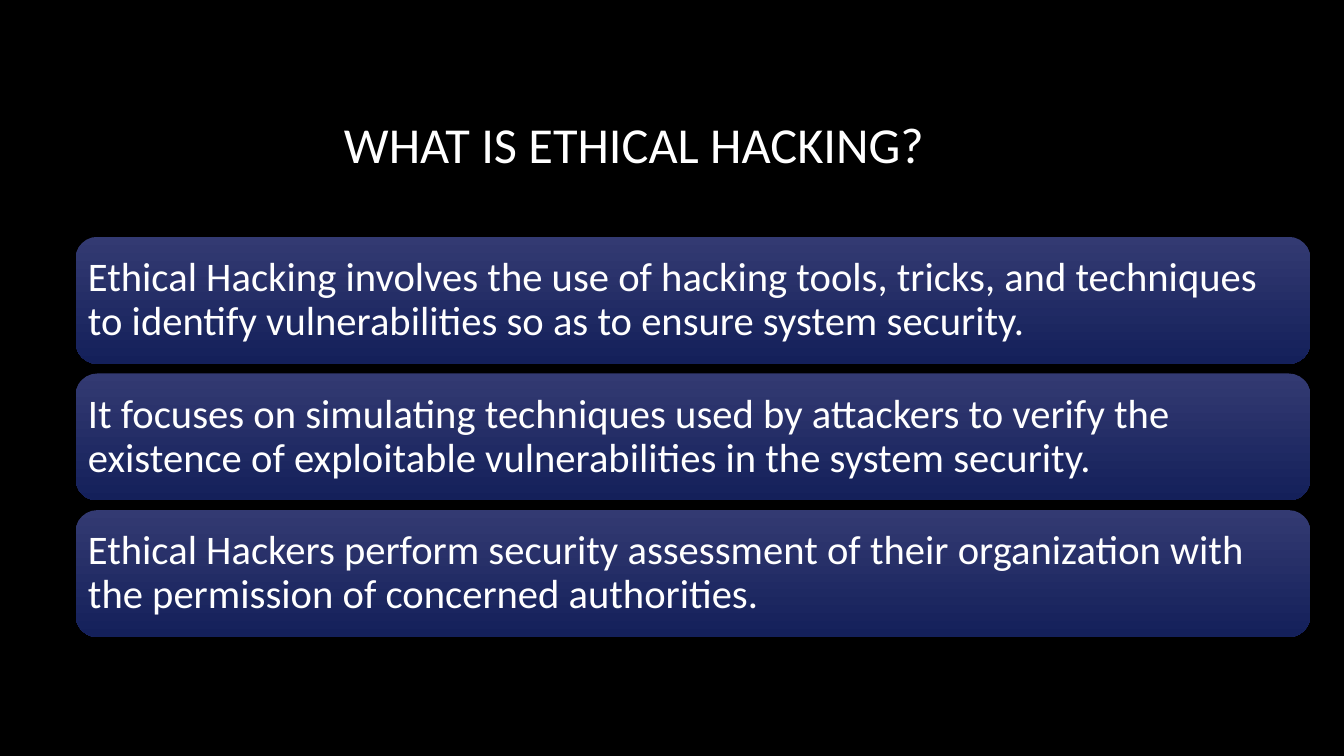
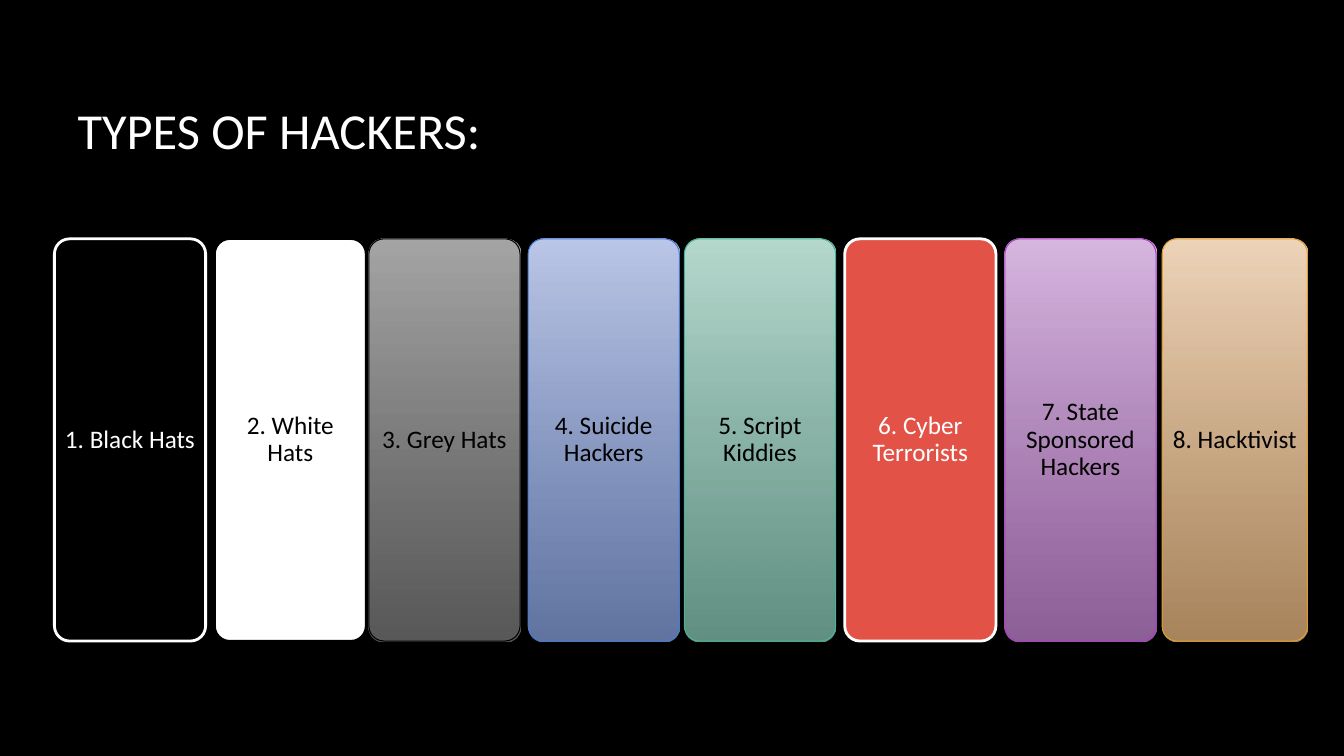
from lxml import etree
from pptx import Presentation
from pptx.dml.color import RGBColor
from pptx.enum.shapes import MSO_SHAPE
from pptx.enum.text import MSO_ANCHOR, PP_ALIGN
from pptx.oxml.ns import qn
from pptx.util import Pt

ROUNDED = MSO_SHAPE.ROUNDED_RECTANGLE
MIDDLE = MSO_ANCHOR.MIDDLE
LEFT, CENTER = PP_ALIGN.LEFT, PP_ALIGN.CENTER
BLACK, WHITE = "000000", "FFFFFF"
TITLE_ONLY = 5


def color(hex_code):
    """Turn a hex string into a colour."""
    return RGBColor.from_string(hex_code)


class Deck:
    """Holds the shared style and the current slide."""

    font_name = "Calibri"
    title_size = 36

    def __init__(self):
        """Start a black widescreen presentation."""
        self.prs = Presentation()
        self.prs.slide_width, self.prs.slide_height = Pt(960), Pt(540)
        backdrop = self.prs.slide_master.background.fill
        backdrop.solid()
        backdrop.fore_color.rgb = color(BLACK)
        self.slide = None

    def add_slide(self, title, left, top, align):
        """Add a slide with its title at the given place."""
        layout = self.prs.slide_layouts[TITLE_ONLY]
        self.slide = self.prs.slides.add_slide(layout)
        heading = self.slide.shapes.title
        heading.left, heading.top = Pt(left), Pt(top)
        heading.width, heading.height = Pt(797.8), Pt(114.5)
        self.set_text(heading.text_frame, title, self.title_size, WHITE, align)

    def set_text(self, frame, text, size, ink, align):
        """Set one paragraph, centred vertically in its frame."""
        frame.text = text
        frame.word_wrap = True
        frame.vertical_anchor = MIDDLE
        paragraph = frame.paragraphs[0]
        paragraph.alignment = align
        paragraph.line_spacing = 0.9
        font = paragraph.font
        font.name, font.size = self.font_name, Pt(size)
        font.color.rgb = color(ink)

    def paint(self, shape, fills, end_alpha):
        """Fill with one colour, or top to bottom with two."""
        if len(fills) == 1:
            shape.fill.solid()
            shape.fill.fore_color.rgb = color(fills[0])
            return
        shape.fill.gradient()
        shape.fill.gradient_angle = 270
        for stop, hex_code in zip(shape.fill.gradient_stops, fills):
            stop.color.rgb = color(hex_code)
        if end_alpha < 100:
            last_color = shape.element.xpath(".//a:gs[last()]/a:srgbClr")[0]
            etree.SubElement(last_color, qn("a:alpha"),
                             val=str(end_alpha * 1000))

    def card(self, box, text, fills, size, ink=WHITE, align=LEFT, inset=4.3,
             corner=0.1667, outline=None, end_alpha=100):
        """Draw a rounded card; outline is a colour and a width."""
        shape = self.slide.shapes.add_shape(ROUNDED, *map(Pt, box))
        shape.shadow.inherit = False
        shape.adjustments[0] = round(corner, 2)
        self.paint(shape, fills, end_alpha)
        if outline:
            line_color, line_width = outline
            shape.line.color.rgb = color(line_color)
            shape.line.width = Pt(line_width)
        else:
            shape.line.fill.background()
        frame = shape.text_frame
        frame.margin_left = frame.margin_right = Pt(inset)
        frame.margin_top = frame.margin_bottom = Pt(inset)
        self.set_text(frame, text, size, ink, align)


DEFINITIONS = [
    "Ethical Hacking involves the use of hacking tools, tricks, and "
    "techniques to identify vulnerabilities so as to ensure system security.",
    "It focuses on simulating techniques used by attackers to verify the "
    "existence of exploitable vulnerabilities in the system security.",
    "Ethical Hackers perform security assessment of their organization with "
    "the permission of concerned authorities.",
]

# left, width, label, fill colours, text colour, outline
HACKER_TYPES = [
    (38.9, 108, "1. Black Hats", [BLACK], WHITE, (WHITE, 2)),
    (153.4, 108, "2. White Hats", [WHITE], BLACK, (BLACK, 1.5)),
    (263.5, 108, "3. Grey Hats", ["A6A6A6", "797979"], BLACK, (BLACK, 0.75)),
    (377.3, 108, "4. Suicide Hackers", ["BCC8E9", "859EDA"], BLACK,
     ("477BD1", 0.75)),
    (488.9, 108, "5. Script Kiddies", ["B7DACF", "85C3B1"], BLACK,
     ("46B298", 0.75)),
    (603.4, 108, "6. Cyber Terrorists", ["E25247"], WHITE, (WHITE, 2)),
    (717.8, 108, "7. State Sponsored Hackers", ["D8B7E1", "BF82CE"], BLACK,
     ("AC3EC1", 0.75)),
    (830.2, 103.7, "8. Hacktivist", ["EFD5BA", "E4B47E"], BLACK,
     ("DD9D31", 0.75)),
]

deck = Deck()

deck.add_slide("WHAT IS ETHICAL HACKING?", 54, 48.2, CENTER)
for row, definition in enumerate(DEFINITIONS):
    deck.card((54, 169.2 + row * 97.6, 882, 90.7), definition,
              ["333A72", "14205A"], 29, corner=0.17)

deck.add_slide("TYPES OF HACKERS:", 48.2, 38.2, LEFT)
for left, width, label, fills, ink, outline in HACKER_TYPES:
    deck.card((left, 170.6, width, 287.3), label, fills, 18, ink, CENTER,
              inset=2, corner=0.1, outline=outline, end_alpha=74)

deck.prs.save("out.pptx")
